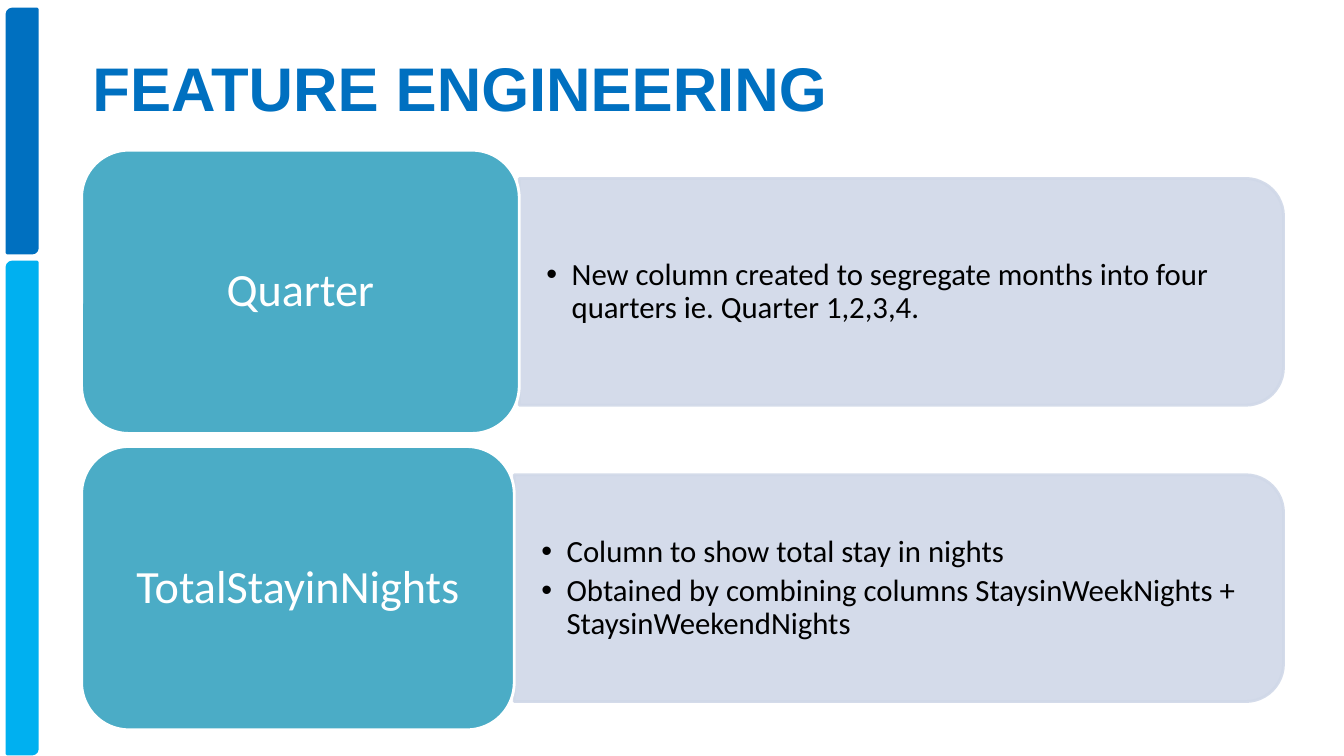
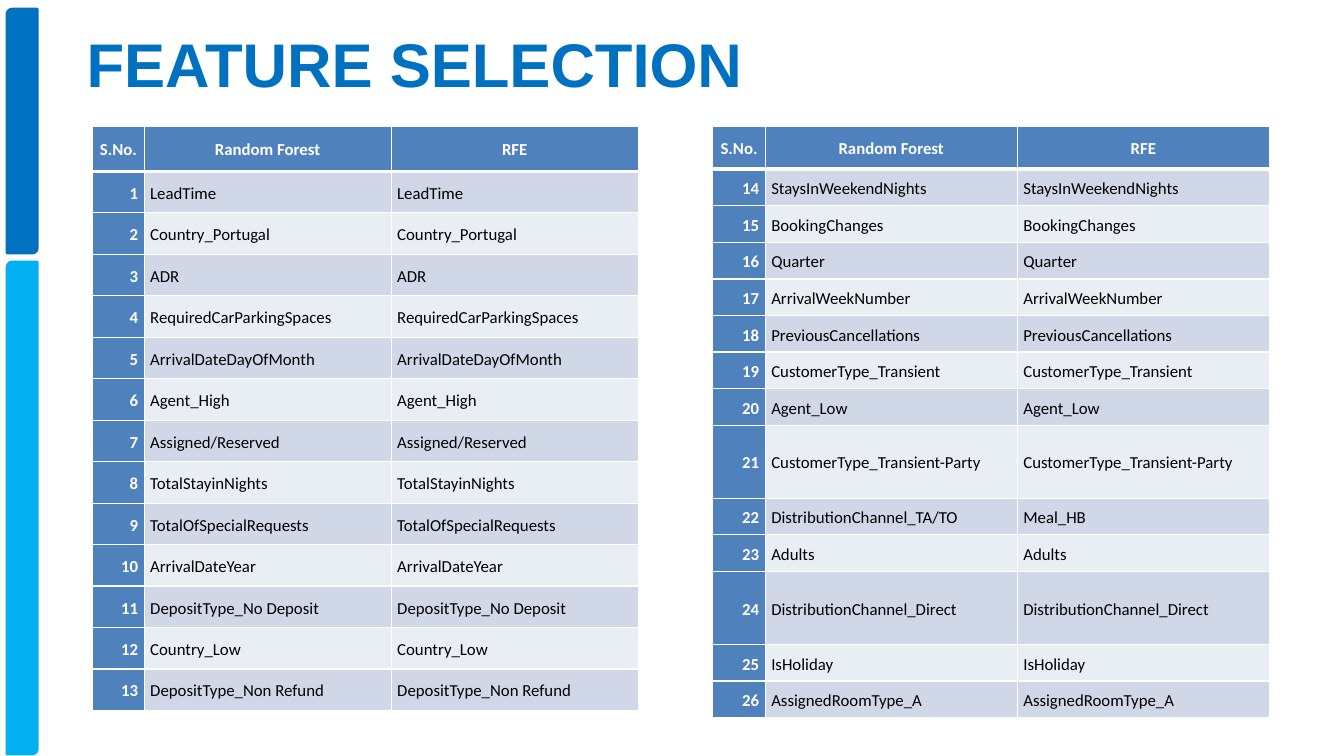
"""Build two slides on feature engineering and feature selection."""
from lxml import etree
from pptx import Presentation
from pptx.dml.color import RGBColor
from pptx.enum.shapes import MSO_SHAPE
from pptx.enum.text import MSO_ANCHOR, MSO_AUTO_SIZE, PP_ALIGN
from pptx.oxml.ns import qn
from pptx.util import Inches, Pt

DIAG, ROUND, TABBED = (MSO_SHAPE.ROUND_2_DIAG_RECTANGLE, MSO_SHAPE.ROUNDED_RECTANGLE,
                       MSO_SHAPE.ROUND_2_SAME_RECTANGLE)
MIDDLE, FIXED = MSO_ANCHOR.MIDDLE, MSO_AUTO_SIZE.NONE
LEFT, CENTER, RIGHT = PP_ALIGN.LEFT, PP_ALIGN.CENTER, PP_ALIGN.RIGHT

HUES = {"blue": "0070C0", "sky": "00B0F0", "teal": "4BACC6", "head": "4F81BD",
        "dark": "D0D8E8", "pale": "E9EDF4", "white": "FFFFFF", "black": "000000"}
FONTS = {
    "title": {"name": "Arial", "size": Pt(44), "bold": True, "hue": "blue"},
    "card": {"name": "Calibri", "size": Pt(33), "bold": False, "hue": "white"},
    "list": {"name": "Calibri", "size": Pt(22), "bold": False, "hue": "black"},
    "head": {"name": "Calibri", "size": Pt(12), "bold": True, "hue": "white"},
    "cell": {"name": "Calibri", "size": Pt(12), "bold": False, "hue": "black"},
}


def write(frame, lines, style, **spacing):
    """Fill a text frame with lines in one of the shared styles."""
    frame.text = "\n".join(lines)
    for para in frame.paragraphs:
        for key, value in spacing.items():
            setattr(para, key, value)
        font = para.runs[0].font
        for key, value in FONTS[style].items():
            if key == "hue":
                font.color.rgb = RGBColor.from_string(HUES[value])
            else:
                setattr(font, key, value)


def draw(slide, kind, box, fill, line):
    """Add a flat shape with a two-point outline."""
    shape = slide.shapes.add_shape(kind, *map(Inches, box))
    shape.shadow.inherit = False
    shape.fill.solid()
    shape.fill.fore_color.rgb = RGBColor.from_string(HUES[fill])
    shape.line.color.rgb = RGBColor.from_string(HUES[line])
    shape.line.width = Pt(2)
    return shape


prs = Presentation()
prs.slide_width, prs.slide_height = Inches(13.33), Inches(7.5)
cards = prs.slides.add_slide(prs.slide_layouts[3])
grids = prs.slides.add_slide(prs.slide_layouts[5])

for num, (top, high, hue) in enumerate([(0.09, 2.42, "blue"), (2.6, 4.88, "sky")]):
    band = draw(cards, DIAG, (0.07, top, 0.3, high), hue, hue).element
    band.nvSpPr.cNvPr.set("id", str(101 + num))
    prs.slide_master.shapes.element.insert(2 + num, band)

for slide, text, left, top in [(cards, "FEATURE ENGINEERING", -0.36, 0.24),
                               (grids, "FEATURE SELECTION", -0.81, 0)]:
    title = slide.shapes.title
    title.left, title.top, title.width, title.height = map(Inches, (left, top, 9.85, 1.25))
    title.text_frame.auto_size = FIXED
    title.text_frame.vertical_anchor = MIDDLE
    write(title.text_frame, [text], "title", alignment=CENTER)

TOPICS = [
    ("Quarter", 4.34,
     ["New column created to segregate months into four quarters ie. Quarter 1,2,3,4."]),
    ("TotalStayinNights", 4.29,
     ["Column to show total stay in nights",
      "Obtained by combining columns StaysinWeekNights + StaysinWeekendNights"]),
]
EDGE, HIGH, DEEP = 12.73, 2.81, 2.25
for num, (name, wide, lines) in enumerate(TOPICS):
    top = 1.49 + num * 2.94
    left = 0.81 + wide
    span = EDGE - left
    mid = top + HIGH / 2
    panel = draw(cards, TABBED, (left + (span - DEEP) / 2, mid - span / 2, DEEP, span),
                 "dark", "dark")
    panel.rotation = 90
    for color in panel.element.iter(qn("a:srgbClr")):
        etree.SubElement(color, qn("a:alpha"), val="90000")

    body = cards.placeholders[num + 1]
    cards.shapes.element.append(body.element)
    box = (left, mid - 1.01, span - 0.11, 2.03)
    body.left, body.top, body.width, body.height = map(Inches, box)
    frame = body.text_frame
    frame.auto_size, frame.vertical_anchor = FIXED, MIDDLE
    frame.margin_left = frame.margin_right = Inches(0.27)
    frame.margin_top = frame.margin_bottom = Inches(0.14)
    write(frame, lines, "list", alignment=LEFT, line_spacing=0.9,
          space_before=Pt(0), space_after=Pt(4))
    for para in body.element.iter(qn("a:pPr")):
        para.set("marL", str(Inches(0.25)))
        para.set("indent", str(Inches(-0.25)))

    card = draw(cards, ROUND, (0.81, top, wide, HIGH), "teal", "white")
    card.text_frame.word_wrap = True
    card.text_frame.vertical_anchor = MIDDLE
    write(card.text_frame, [name], "card", alignment=CENTER, line_spacing=0.9)

HEADS = ["S.No.", "Random Forest", "RFE"]
FOREST = [
    "LeadTime", "Country_Portugal", "ADR", "RequiredCarParkingSpaces",
    "ArrivalDateDayOfMonth", "Agent_High", "Assigned/Reserved", "TotalStayinNights",
    "TotalOfSpecialRequests", "ArrivalDateYear", "DepositType_No Deposit", "Country_Low",
    "DepositType_Non Refund", "StaysInWeekendNights", "BookingChanges", "Quarter",
    "ArrivalWeekNumber", "PreviousCancellations", "CustomerType_Transient", "Agent_Low",
    "CustomerType_Transient-Party", "DistributionChannel_TA/TO", "Adults",
    "DistributionChannel_Direct", "IsHoliday", "AssignedRoomType_A",
]
SWAPS = {"DistributionChannel_TA/TO": "Meal_HB"}
TALL = {21, 24}
HALF = len(FOREST) // 2
for first, left, high, head, cols in [(1, 0.92, 5.8, 0.45, (0.51, 2.45, 2.45)),
                                      (1 + HALF, 7.07, 5.87, 0.43, (0.52, 2.5, 2.5))]:
    ranks = range(first, first + HALF)
    names = [FOREST[rank - 1] for rank in ranks]
    rows = [HEADS] + [[str(rank), name, SWAPS.get(name, name)]
                      for rank, name in zip(ranks, names)]
    units = [2 if rank in TALL else 1 for rank in ranks]
    step = (high - head) / sum(units)
    box = map(Inches, (left, 1.25, sum(cols), high))
    table = grids.shapes.add_table(len(rows), len(cols), *box).table
    for col, wide in zip(table.columns, cols):
        col.width = Inches(wide)
    for row, tall in zip(table.rows, [head] + [unit * step for unit in units]):
        row.height = Inches(tall)
    for r, row in enumerate(rows):
        for c, text in enumerate(row):
            cell = table.cell(r, c)
            cell.vertical_anchor = MIDDLE
            cell.margin_left = cell.margin_right = Inches(0.06)
            cell.margin_top = cell.margin_bottom = 0
            key = r == 0 or c == 0
            align = CENTER if r == 0 else RIGHT if c == 0 else LEFT
            write(cell.text_frame, [text], "head" if key else "cell",
                  alignment=align, line_spacing=1.15)
            cell.fill.solid()
            hue = "head" if key else "dark" if r % 2 else "pale"
            cell.fill.fore_color.rgb = RGBColor.from_string(HUES[hue])
            props = cell._tc.get_or_add_tcPr()
            for spot, side in enumerate(["lnL", "lnR", "lnT", "lnB"]):
                thick = (r, side) in [(0, "lnB"), (1, "lnT")]
                edge = etree.Element(qn("a:" + side), w=str(Pt(3 if thick else 1)))
                paint = etree.SubElement(edge, qn("a:solidFill"))
                etree.SubElement(paint, qn("a:srgbClr"), val=HUES["white"])
                props.insert(spot, edge)

prs.save("out.pptx")
